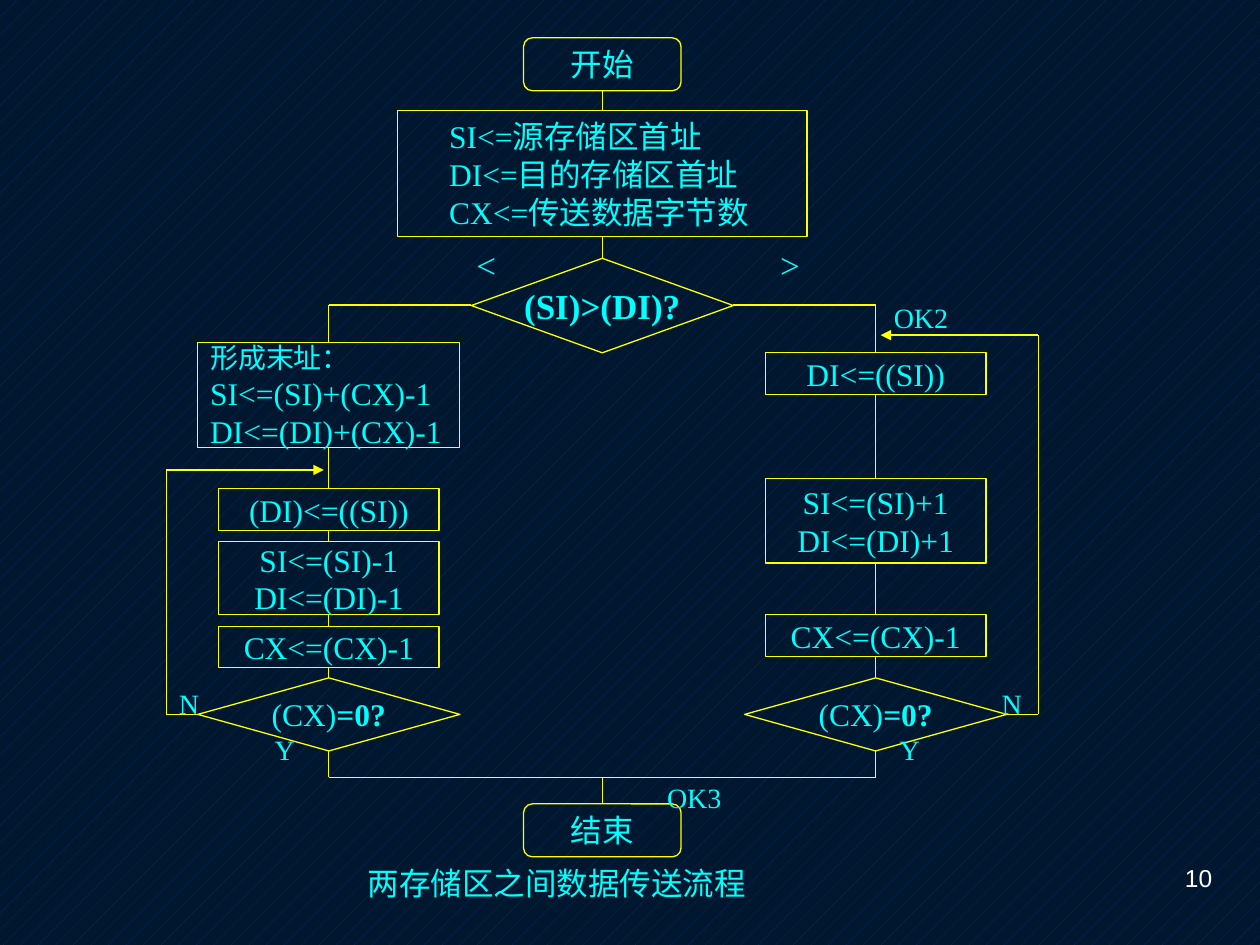
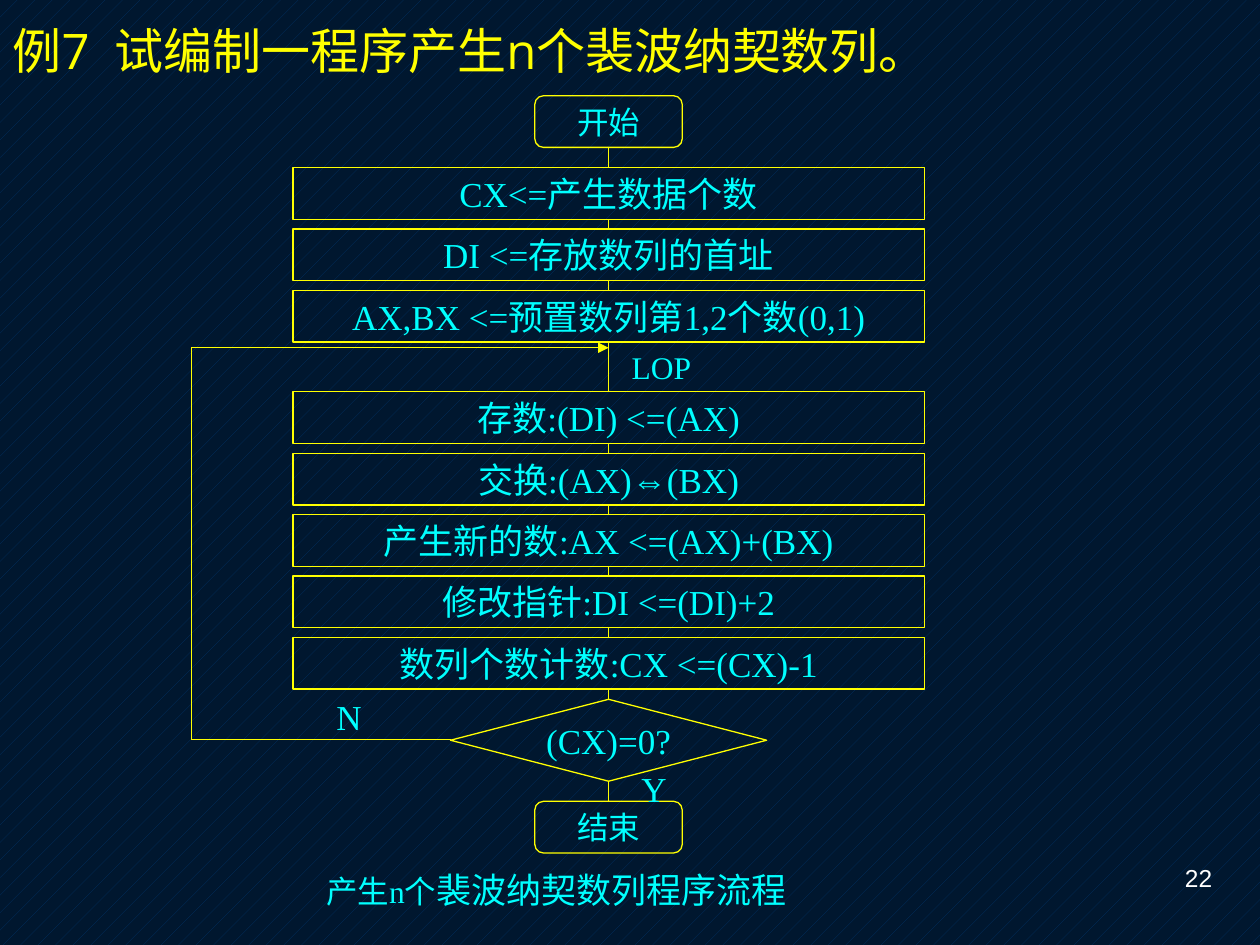
from pptx import Presentation
from pptx.dml.color import RGBColor
from pptx.enum.dml import MSO_PATTERN
from pptx.enum.shapes import MSO_CONNECTOR, MSO_SHAPE
from pptx.enum.text import MSO_ANCHOR, MSO_AUTO_SIZE, PP_ALIGN
from pptx.oxml.ns import qn
from pptx.util import Inches, Pt
from lxml import etree

YELLOW = RGBColor(0xFF, 0xFF, 0x00)
CYAN = RGBColor(0x00, 0xFF, 0xFF)
WHITE = RGBColor(0xFF, 0xFF, 0xFF)
NAVY = RGBColor(0x00, 0x17, 0x2F)
DOT_BLUE = RGBColor(0x00, 0x33, 0x66)

FLOW_FONT = "Times New Roman"
TITLE_FONT = "Open Sans"
NUMBER_FONT = "Arial"

TERMINAL = MSO_SHAPE.FLOWCHART_ALTERNATE_PROCESS
PROCESS = MSO_SHAPE.RECTANGLE
DECISION = MSO_SHAPE.FLOWCHART_DECISION
STRAIGHT = MSO_CONNECTOR.STRAIGHT
LEFT, CENTER, RIGHT = PP_ALIGN.LEFT, PP_ALIGN.CENTER, PP_ALIGN.RIGHT
TOP, MIDDLE, BOTTOM = MSO_ANCHOR.TOP, MSO_ANCHOR.MIDDLE, MSO_ANCHOR.BOTTOM
SITE_TOP, SITE_BOTTOM = 0, 2

TITLE_ONLY_LAYOUT, BLANK_LAYOUT = 5, 6
LINE_WIDTH = Pt(0.75)


# Text
def style(font, size, color=CYAN, name=FLOW_FONT, bold=False):
    font.size, font.name, font.bold = Pt(size), name, bold
    font.color.rgb = color


def write(frame, lines, size=18, align=CENTER, color=CYAN, name=FLOW_FONT):
    """Each line is a string or a list of (text, size, bold) runs."""
    for index, line in enumerate(lines):
        paragraph = frame.add_paragraph() if index else frame.paragraphs[0]
        paragraph.alignment = align
        runs = [(line, size, False)] if isinstance(line, str) else line
        for text, run_size, bold in runs:
            run = paragraph.add_run()
            run.text = text
            style(run.font, run_size, color, name, bold)


def add_text(slide, left, top, width, height, lines, anchor=TOP, **look):
    box = slide.shapes.add_textbox(*map(Inches, (left, top, width, height)))
    box.text_frame.word_wrap = True
    box.text_frame.vertical_anchor = anchor
    write(box.text_frame, lines, **look)


def add_label(slide, x, y, text, size=16):
    """Short mark centred on a point."""
    width, height = 0.8, 0.4
    add_text(slide, x - width / 2, y - height / 2, width, height, [text],
             anchor=MIDDLE, size=size)


# Flowchart parts
def add_node(slide, kind, center, top, width, height, lines, size=18, indent=None):
    """Outlined step; an indent makes its text left-aligned."""
    node = slide.shapes.add_shape(
        kind, *map(Inches, (center - width / 2, top, width, height)))
    node.shadow.inherit = False
    node.fill.background()
    node.line.color.rgb = YELLOW
    node.line.width = LINE_WIDTH
    frame = node.text_frame
    frame.vertical_anchor = MIDDLE
    frame.word_wrap = indent is not None
    if indent is not None:
        frame.margin_left, frame.margin_right = Inches(indent), 0
    write(frame, lines, size, CENTER if indent is None else LEFT)
    return node


def add_line(slide, start=(0, 0), end=(0, 0), arrow=False):
    line = slide.shapes.add_connector(STRAIGHT, *map(Inches, (*start, *end)))
    line.line.color.rgb = YELLOW
    line.line.width = LINE_WIDTH
    properties = line.line._get_or_add_ln()
    if arrow:
        etree.SubElement(properties, qn("a:tailEnd"), type="triangle")
    etree.SubElement(properties.getparent(), qn("a:effectLst"))
    return line


def add_route(slide, points, arrow=False):
    """Right-angled route whose last leg may carry the arrowhead."""
    legs = list(zip(points, points[1:]))
    for index, (start, end) in enumerate(legs, 1):
        add_line(slide, start, end, arrow and index == len(legs))


def add_column(slide, center, top, steps):
    """Steps (kind, offset, width, height, lines, options) joined downwards."""
    nodes = [add_node(slide, kind, center, top + offset, width, height, lines, **options)
             for kind, offset, width, height, lines, options in steps]
    for upper, lower in zip(nodes, nodes[1:]):
        link = add_line(slide)
        link.begin_connect(upper, SITE_BOTTOM)
        link.end_connect(lower, SITE_TOP)


def add_page_number(slide, number):
    add_text(slide, 7.39, 6.8, 2.33, 0.5, [number], size=14, align=RIGHT,
             color=WHITE, name=NUMBER_FONT)


# Slide 1: moving data between two storage areas
ZERO_TEST = [[("(CX)", 18, False), ("=0?", 18, True)]]


def add_setup(slide, center, top):
    add_column(slide, center, top, [
        (TERMINAL, 0, 1.25, 0.42, ["开始"], {}),
        (PROCESS, 0.58, 3.25, 1, ["SI<=源存储区首址", "DI<=目的存储区首址",
                                  "CX<=传送数据字节数"], {"indent": 0.41}),
        (DECISION, 1.75, 2.08, 0.75, [[("(SI)>(DI)?", 20, True)]], {}),
    ])
    add_label(slide, center - 0.92, top + 1.8, "<", 20)
    add_label(slide, center + 1.49, top + 1.8, ">", 20)


def add_backward_copy(slide, center, top):
    add_column(slide, center, top, [
        (PROCESS, 0, 2.08, 0.83, [[("形成末址：", 16, False)], "SI<=(SI)+(CX)-1",
                                  "DI<=(DI)+(CX)-1"], {"indent": 0.1}),
        (PROCESS, 1.16, 1.75, 0.33, ["(DI)<=((SI))"], {}),
        (PROCESS, 1.58, 1.75, 0.58, ["SI<=(SI)-1", "DI<=(DI)-1"], {}),
        (PROCESS, 2.25, 1.75, 0.33, ["CX<=(CX)-1"], {}),
        (DECISION, 2.66, 2.08, 0.58, ZERO_TEST, {}),
    ])
    outer, test, entry = center - 1.29, top + 2.95, top + 1.01
    add_route(slide, [(center - 1.04, test), (outer, test), (outer, entry),
                      (center - 0.04, entry)], arrow=True)
    add_label(slide, center - 1.11, top + 2.86, "N")
    add_label(slide, center - 0.35, top + 3.23, "Y")


def add_forward_copy(slide, center, top):
    add_column(slide, center, top, [
        (PROCESS, 0, 1.75, 0.33, ["DI<=((SI))"], {}),
        (PROCESS, 1, 1.75, 0.67, ["SI<=(SI)+1", "DI<=(DI)+1"], {}),
        (PROCESS, 2.08, 1.75, 0.33, ["CX<=(CX)-1"], {}),
        (DECISION, 2.58, 2.08, 0.58, ZERO_TEST, {}),
    ])
    outer, test, entry = center + 1.29, top + 2.87, top - 0.14
    add_route(slide, [(center + 1.04, test), (outer, test), (outer, entry),
                      (center + 0.04, entry)], arrow=True)
    add_label(slide, center + 0.36, top - 0.28, "OK2")
    add_label(slide, center + 1.08, top + 2.78, "N")
    add_label(slide, center + 0.27, top + 3.15, "Y")


def build_transfer_slide(prs):
    slide = prs.slides.add_slide(prs.slide_layouts[BLANK_LAYOUT])
    middle, backward, forward = 4.78, 2.61, 6.95
    add_setup(slide, middle, 0.3)
    add_backward_copy(slide, backward, 2.72)
    add_forward_copy(slide, forward, 2.8)
    # Branches leave the comparison and meet again above the end
    compare_y, merge_y, end_top = 2.42, 6.17, 6.38
    for column, side, first_top in ((backward, -1, 2.72), (forward, 1, 2.8)):
        add_route(slide, [(middle + side * 1.04, compare_y), (column, compare_y),
                          (column, first_top)])
        add_route(slide, [(column, 5.96), (column, merge_y), (middle, merge_y)])
    add_line(slide, (middle, merge_y), (middle, end_top))
    add_node(slide, TERMINAL, middle, end_top, 1.25, 0.42, ["结束"])
    add_label(slide, 5.51, 6.33, "OK3")
    add_text(slide, 2.82, 6.81, 4.08, 0.4, ["两存储区之间数据传送流程"], align=LEFT)
    add_page_number(slide, "10")


# Slide 2: Fibonacci numbers
PREPARE = ["CX<=产生数据个数", "DI <=存放数列的首址", "AX,BX <=预置数列第1,2个数(0,1)"]
REPEAT = ["存数:(DI) <=(AX)", "交换:(AX)⇔(BX)", "产生新的数:AX <=(AX)+(BX)",
          "修改指针:DI <=(DI)+2", "数列个数计数:CX <=(CX)-1"]


def add_title(slide, text):
    title = slide.shapes.title
    title.left, title.top, title.width, title.height = map(Inches, (0, 0, 8.52, 0.68))
    frame = title.text_frame
    frame.text = text
    frame.auto_size = MSO_AUTO_SIZE.NONE
    frame.vertical_anchor = BOTTOM
    frame.paragraphs[0].alignment = LEFT
    style(frame.paragraphs[0].runs[0].font, 28, YELLOW, TITLE_FONT)


def add_fibonacci_flow(slide, center, top):
    pitch, height = 0.4875, 0.41

    def stack(lines, first):
        return [(PROCESS, first + i * pitch, 5.01, height, [line], {"size": 20})
                for i, line in enumerate(lines)]

    add_column(slide, center, top, [
        (TERMINAL, 0, 1.17, height, ["开始"], {}),
        *stack(PREPARE, 0.57),
        *stack(REPEAT, 2.35),
        (DECISION, 4.79, 2.51, 0.65, ["(CX)=0?"], {"size": 20}),
        (TERMINAL, 5.6, 1.17, height, ["结束"], {}),
    ])
    outer, test, entry = center - 3.31, top + 5.11, top + 2
    add_route(slide, [(center - 1.25, test), (outer, test), (outer, entry),
                      (center, entry)], arrow=True)
    add_label(slide, center + 0.42, top + 2.15, "LOP", 18)
    add_label(slide, center - 2.06, top + 4.93, "N", 20)
    add_label(slide, center + 0.36, top + 5.5, "Y", 20)


def build_fibonacci_slide(prs):
    slide = prs.slides.add_slide(prs.slide_layouts[TITLE_ONLY_LAYOUT])
    add_title(slide, "例7  试编制一程序产生n个裴波纳契数列。")
    add_fibonacci_flow(slide, 4.83, 0.76)
    add_text(slide, 2.49, 6.84, 4.93, 0.43, [[
        ("产生n个", 18, False), ("裴波纳契数列程序流程", 20, False)]], align=LEFT)
    add_page_number(slide, "22")


def main():
    prs = Presentation()
    prs.slide_width, prs.slide_height = Inches(10), Inches(7.5)
    # Shared dotted background
    backdrop = prs.slide_master.background.fill
    backdrop.patterned()
    backdrop.pattern = MSO_PATTERN.PERCENT_5
    backdrop.fore_color.rgb = DOT_BLUE
    backdrop.back_color.rgb = NAVY
    build_transfer_slide(prs)
    build_fibonacci_slide(prs)
    prs.save("out.pptx")


if __name__ == "__main__":
    main()
